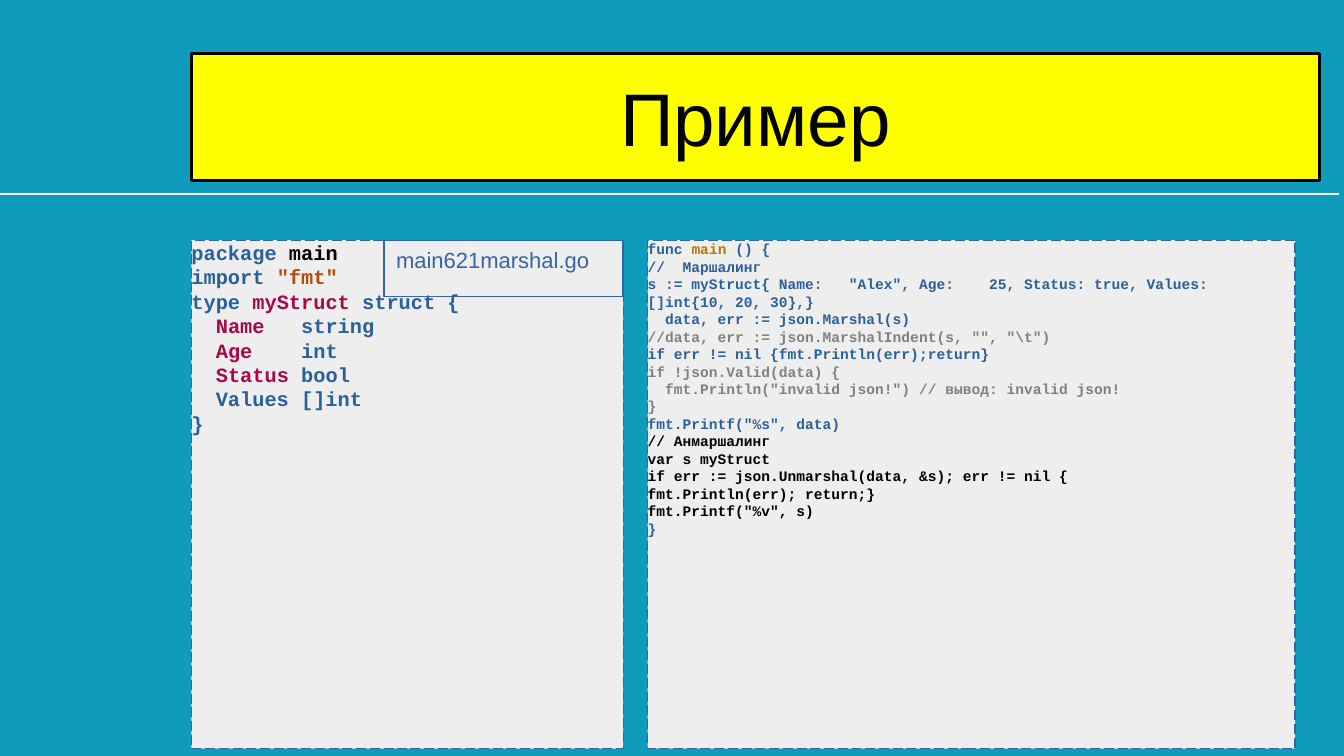
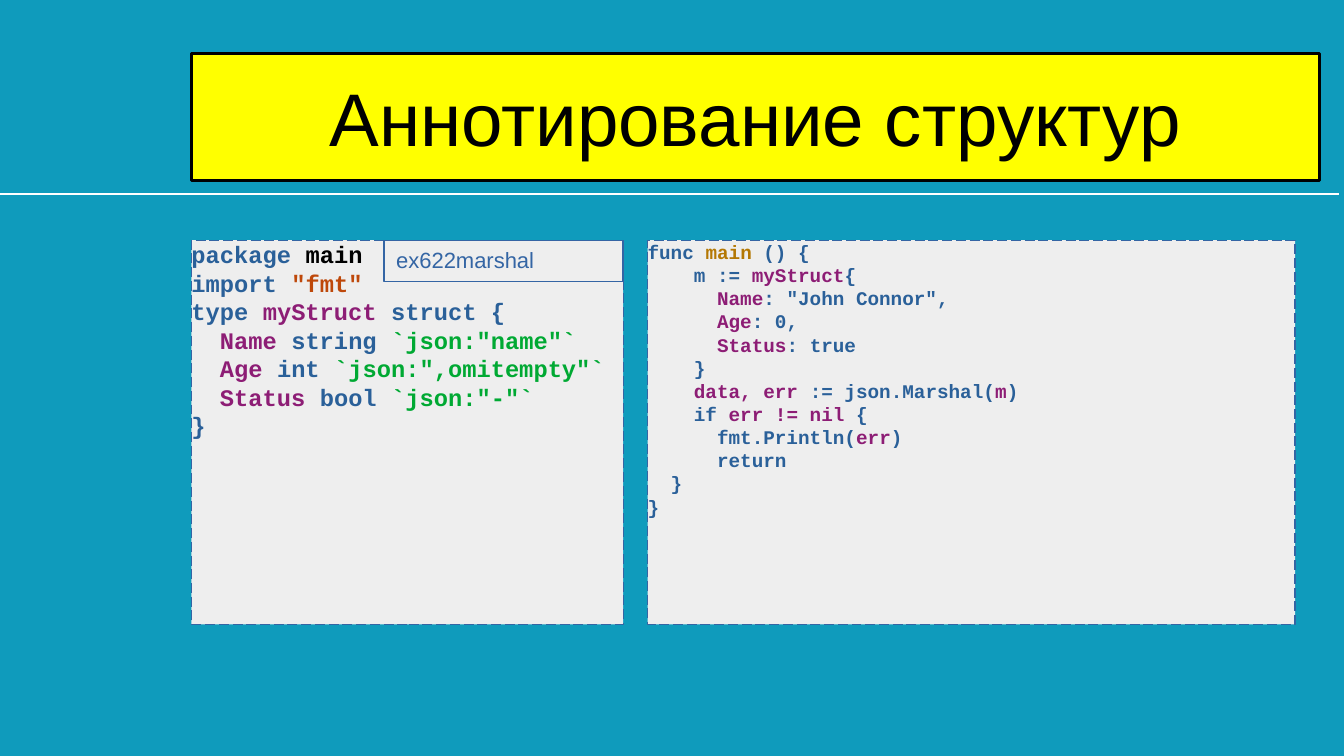
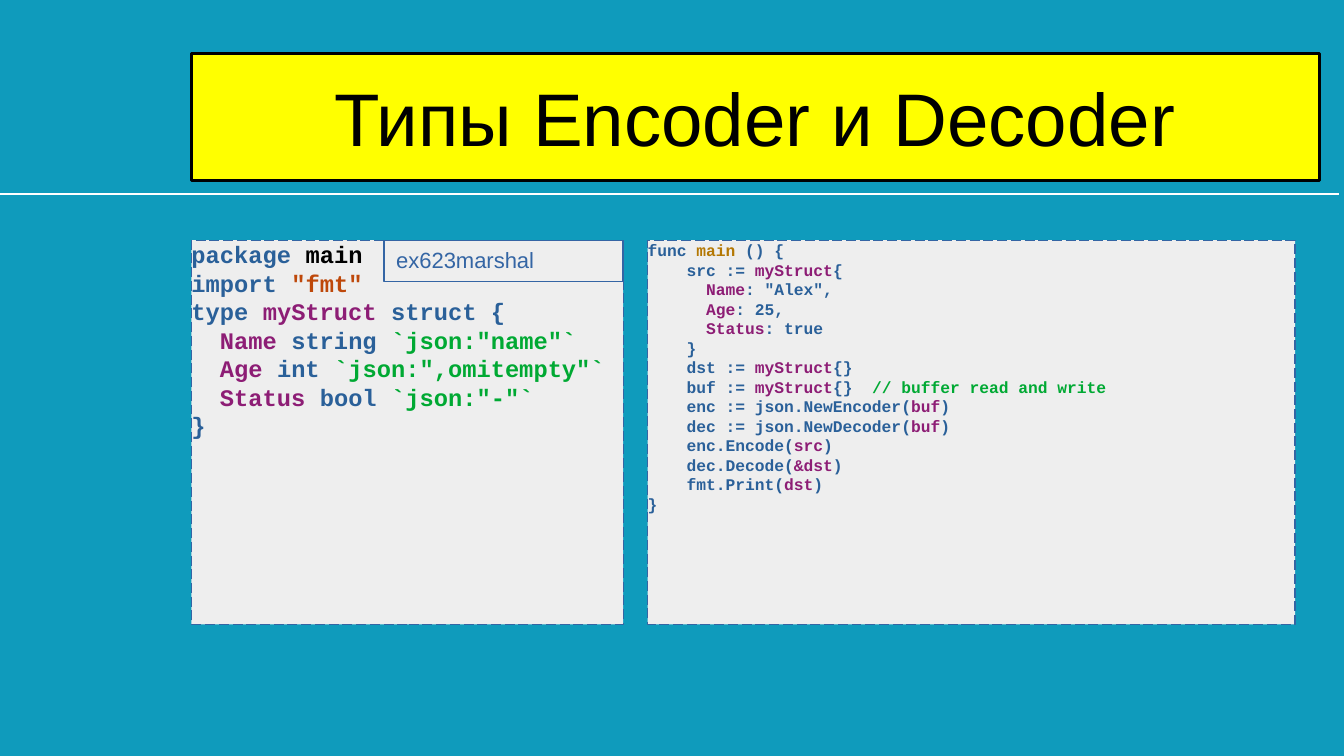
from lxml import etree
from pptx import Presentation
from pptx.dml.color import RGBColor
from pptx.enum.dml import MSO_LINE
from pptx.enum.shapes import MSO_CONNECTOR, MSO_SHAPE
from pptx.enum.text import MSO_ANCHOR, MSO_AUTO_SIZE, PP_ALIGN
from pptx.oxml.ns import qn
from pptx.util import Inches, Pt

RECTANGLE = MSO_SHAPE.RECTANGLE
STRAIGHT = MSO_CONNECTOR.STRAIGHT
LONG_DASH = MSO_LINE.LONG_DASH
LEFT, CENTER = PP_ALIGN.LEFT, PP_ALIGN.CENTER
TOP, MIDDLE = MSO_ANCHOR.TOP, MSO_ANCHOR.MIDDLE
NO_FIT = MSO_AUTO_SIZE.NONE
TITLE_ONLY = 5

TEAL, YELLOW, WHITE, BLACK = "0F9BBC", "FFFF00", "FFFFFF", "000000"
PANEL, BORDER = "EEEEEE", "3465A4"
BLUE, RUST, CRIMSON, PLUM = "2A6099", "BE480A", "A7074B", "8D1D75"
GOLD, GREEN, GRAY = "B47804", "00A933", "808080"

BODY_FONT, CODE_FONT = "Arial", "Courier New"
PAGE_WIDTH, PAGE_HEIGHT = 11.02, 6.2
TITLE_BOX = (1.57, 0.44, 9.25, 1.04)
RULE_Y, RULE_END = 1.59, 10.98
PANEL_TOP = 1.97
LEFT_X, LEFT_WIDTH = 1.57, 3.54
RIGHT_X, RIGHT_WIDTH = 5.31, 5.31
LABEL_WIDTH = 1.96


def paint(code):
    """Turn a hex string into a colour."""
    return RGBColor.from_string(code)


def style_box(box, fill=None, line=BORDER, width=0, dash=None):
    """Set the fill and outline of a box."""
    if fill:
        box.fill.solid()
        box.fill.fore_color.rgb = paint(fill)
    else:
        box.fill.background()
    box.line.color.rgb = paint(line)
    box.line.width = Pt(width)
    if dash:
        box.line.dash_style = dash


def write(box, lines, size, font=BODY_FONT, color=BLACK, bold=False,
          align=LEFT, anchor=TOP, insets=(0, 0)):
    """Write lines of spans; a span is plain text or a (text, colour) pair."""
    frame = box.text_frame
    frame.word_wrap = True
    frame.auto_size = NO_FIT
    frame.vertical_anchor = anchor
    frame.margin_left = frame.margin_right = Inches(insets[0])
    frame.margin_top = frame.margin_bottom = Inches(insets[1])
    for index, line in enumerate(lines):
        para = frame.add_paragraph() if index else frame.paragraphs[0]
        para.alignment = align
        for part in line:
            text, tint = (part, color) if isinstance(part, str) else part
            span = para.add_run()
            span.text = text
            span.font.name = font
            span.font.size = Pt(size)
            span.font.bold = bold
            span.font.color.rgb = paint(tint)


def add_box(page, left, top, width, height, **style):
    """Add a flat rectangle."""
    box = page.shapes.add_shape(RECTANGLE, *map(Inches, (left, top, width, height)))
    box.shadow.inherit = False
    style_box(box, **style)
    return box


def add_code(page, left, top, width, height, lines, size):
    """Add a dashed panel of source code."""
    panel = add_box(page, left, top, width, height, fill=PANEL, dash=LONG_DASH)
    write(panel, lines, size, font=CODE_FONT, color=BLUE, bold=True)


def add_label(page, right, top, height, name):
    """Add a file name tag that ends at the given right edge."""
    label = add_box(page, right - LABEL_WIDTH, top, LABEL_WIDTH, height)
    write(label, [[name]], 13, color=BORDER, insets=(0.1, 0.05))


def add_title(page, text):
    """Format the title placeholder as a yellow banner."""
    title = page.shapes.title
    title.left, title.top, title.width, title.height = map(Inches, TITLE_BOX)
    style_box(title, fill=YELLOW, line=BLACK, width=1.5)
    write(title, [[text]], 44, align=CENTER, anchor=MIDDLE)


def add_rule(page):
    """Add the white line under the title."""
    rule = page.shapes.add_connector(
        STRAIGHT, 0, Inches(RULE_Y), Inches(RULE_END), Inches(RULE_Y))
    rule.line.color.rgb = paint(WHITE)
    rule.line.width = Pt(1.5)
    etree.SubElement(rule.element.spPr, qn("a:effectLst"))


def add_code_page(deck, title, name, types, types_size, body, body_size,
                  height=3.15, label_height=0.34):
    """Add a slide with types on the left and the main function on the right."""
    page = deck.slides.add_slide(deck.slide_layouts[TITLE_ONLY])
    add_rule(page)
    add_title(page, title)
    add_code(page, LEFT_X, PANEL_TOP, LEFT_WIDTH, height, types, types_size)
    add_label(page, LEFT_X + LEFT_WIDTH, PANEL_TOP, label_height, name)
    add_code(page, RIGHT_X, PANEL_TOP, RIGHT_WIDTH, height, body, body_size)


def type_code(accent, fields):
    """Return the package header and the struct around its fields."""
    return [
        ["package", (" main", BLACK)],
        ["import ", ('"fmt"', RUST)],
        ["type ", ("myStruct", accent), " struct {"],
        *fields,
        ["}"],
    ]


def tagged_field(name, kind, tag):
    """Return a struct field with its json tag."""
    return ["  ", (name, PLUM), f" {kind} ", (f'`json:"{tag}"`', GREEN)]


def value_fields(name, age):
    """Return the fields of a struct literal and its closing brace."""
    values = (("Name", f'"{name}",'), ("Age", f"{age},"), ("Status", "true"))
    return [["      ", (key, PLUM), f": {value}"] for key, value in values] + [["    }"]]


def call(start, argument):
    """Return a call with a highlighted argument."""
    return [start + "(", (argument, PLUM), ")"]


MAIN_LINE = ["func ", ("main", GOLD), " () {"]

PLAIN_TYPES = type_code(CRIMSON, [
    ["  ", ("Name", CRIMSON), "   string"],
    ["  ", ("Age ", CRIMSON), "   int"],
    ["  ", ("Status", CRIMSON), " bool"],
    ["  Values []int"],
])

TAGGED_TYPES = type_code(PLUM, [
    tagged_field("Name", "string", "name"),
    tagged_field("Age", "int", ",omitempty"),
    tagged_field("Status", "bool", "-"),
])

MARSHAL_BODY = [
    MAIN_LINE,
    ["//  Маршалинг"],
    ['s := myStruct{ Name:   "Alex", Age:    25, Status: true, '
     "Values: []int{10, 20, 30},}"],
    ["  data, err := json.Marshal(s)"],
    [('//data, err := json.MarshalIndent(s, "", "\\t")', GRAY)],
    ["if err != nil {fmt.Println(err);return}"],
    [("if !json.Valid(data) {", GRAY)],
    [('  fmt.Println("invalid json!") // вывод: invalid json!', GRAY)],
    [("}", GRAY)],
    ['fmt.Printf("%s", data)'],
    [("// Анмаршалинг", BLACK)],
    [("var s myStruct", BLACK)],
    [("if err := json.Unmarshal(data, &s); err != nil {", BLACK)],
    [("fmt.Println(err); return;}", BLACK)],
    [('fmt.Printf("%v", s)', BLACK)],
    ["}"],
]

ANNOTATION_BODY = [
    MAIN_LINE,
    ["    m := ", ("myStruct", PLUM), "{"],
    *value_fields("John Connor", 0),
    ["    ", ("data, err", PLUM), *call(" := json.Marshal", "m")],
    ["    if ", ("err != nil", PLUM), " {"],
    call("      fmt.Println", "err"),
    ["      return"],
    ["  }"],
    ["}"],
]

ENCODER_BODY = [
    MAIN_LINE,
    ["    src := ", ("myStruct", PLUM), "{"],
    *value_fields("Alex", 25),
    ["    dst := ", ("myStruct", PLUM), "{}"],
    ["    buf := ", ("myStruct", PLUM), "{}  ", ("// buffer read and write", GREEN)],
    call("    enc := json.NewEncoder", "buf"),
    call("    dec := json.NewDecoder", "buf"),
    call("    enc.Encode", "src"),
    call("    dec.Decode", "&dst"),
    call("    fmt.Print", "dst"),
    ["}"],
]


def main():
    """Build and save the deck."""
    deck = Presentation()
    deck.slide_width, deck.slide_height = Inches(PAGE_WIDTH), Inches(PAGE_HEIGHT)
    backdrop = deck.slide_master.background.fill
    backdrop.solid()
    backdrop.fore_color.rgb = paint(TEAL)
    add_code_page(deck, "Пример", "main621marshal.go", PLAIN_TYPES, 12,
                  MARSHAL_BODY, 8.6, height=4.17, label_height=0.46)
    add_code_page(deck, "Аннотирование структур", "ex622marshal", TAGGED_TYPES, 14,
                  ANNOTATION_BODY, 11.4)
    add_code_page(deck, "Типы Encoder и Decoder", "ex623marshal", TAGGED_TYPES, 14,
                  ENCODER_BODY, 9.6)
    deck.save("out.pptx")


if __name__ == "__main__":
    main()
